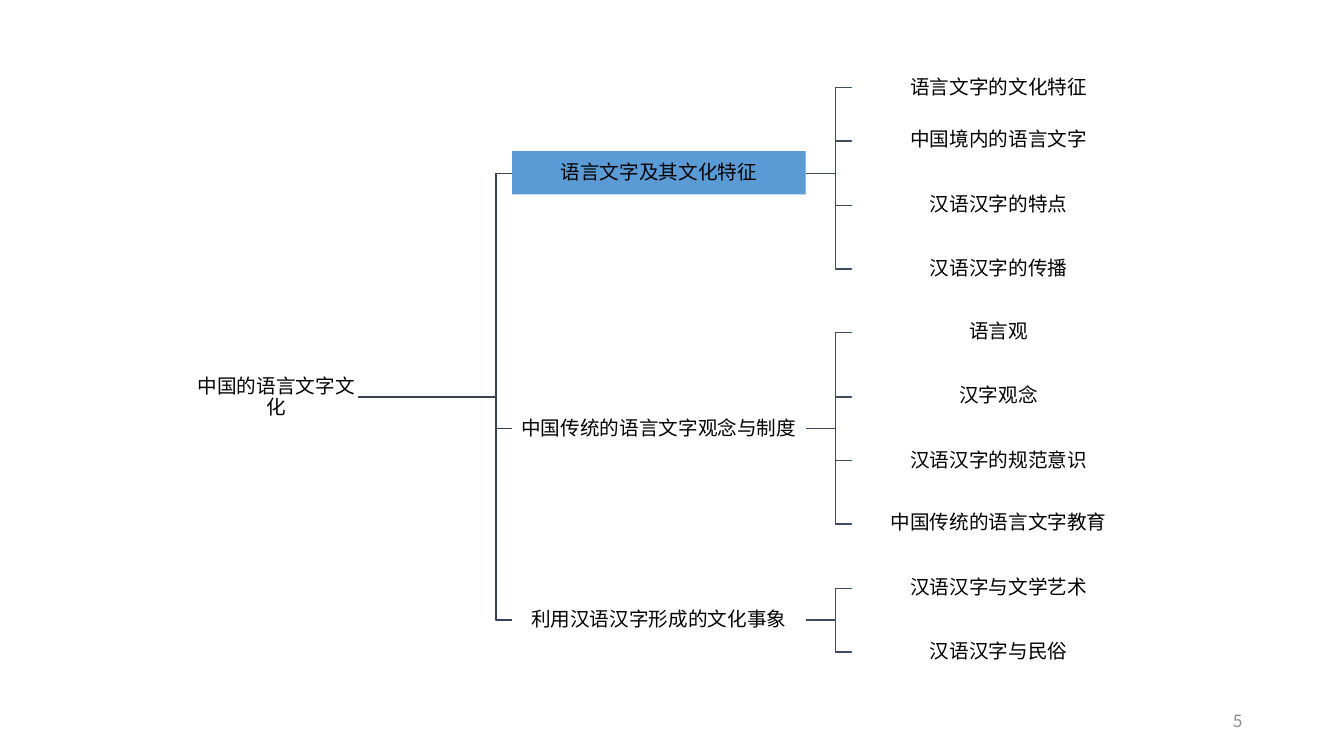
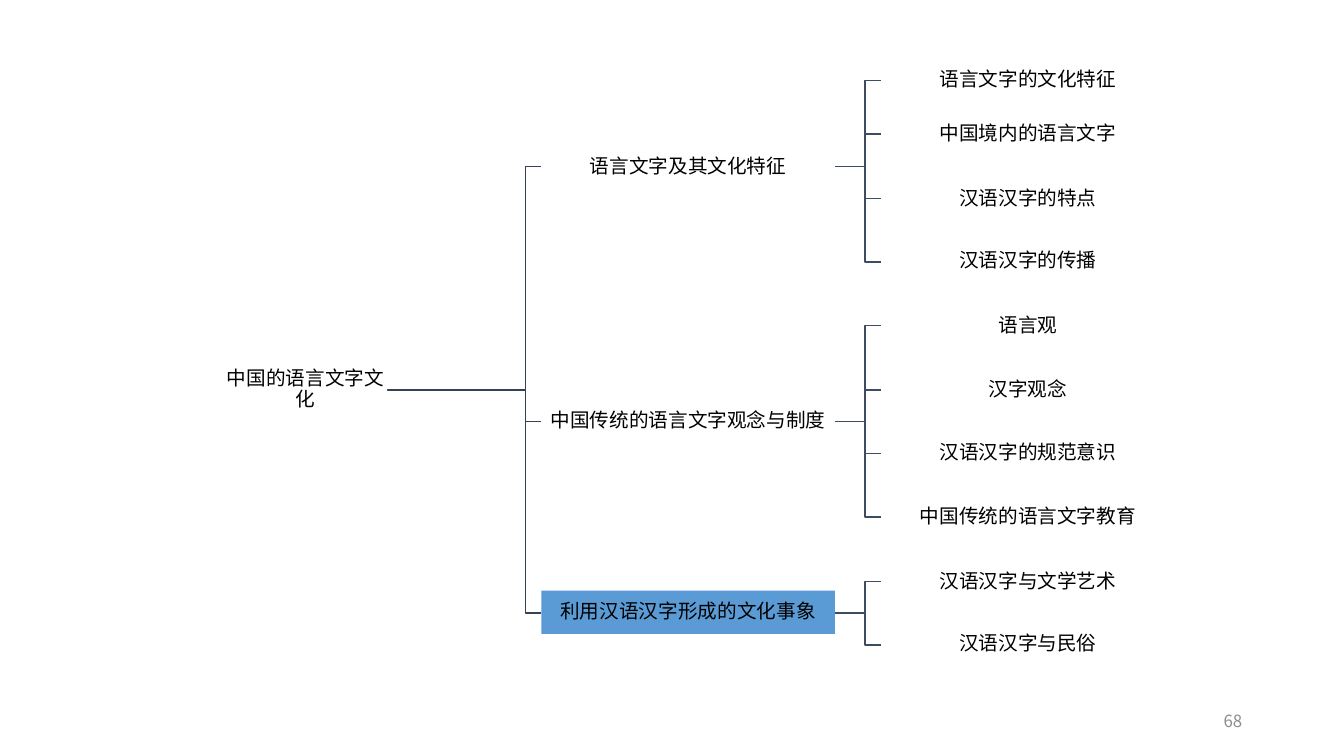
from lxml import etree
from pptx import Presentation
from pptx.dml.color import RGBColor
from pptx.enum.shapes import MSO_SHAPE
from pptx.enum.text import MSO_ANCHOR, PP_ALIGN
from pptx.oxml.ns import qn
from pptx.util import Pt

RECT = MSO_SHAPE.RECTANGLE
MIDDLE = MSO_ANCHOR.MIDDLE
CENTER, RIGHT = PP_ALIGN.CENTER, PP_ALIGN.RIGHT

PX = 9144
FONT = "Noto Sans CJK SC"
BLACK = RGBColor(0x00, 0x00, 0x00)
WHITE = RGBColor(0xFF, 0xFF, 0xFF)
GRAY = RGBColor(0x8C, 0x8C, 0x8C)
BLUE = RGBColor(0x5B, 0x9B, 0xD5)
ROOT_LINE = RGBColor(0x36, 0x43, 0x55)
LEAF_LINE = RGBColor(0x3E, 0x4C, 0x60)

NODE_W, NODE_H = 291, 43
ROOT_X, ROOT_W, ROOT_H = 193, 162, 49
BRANCH_X, LEAF_X = 508, 845
STUB = 16
FIRST_ROW, ROW_SPAN, LAST_ROW = 77, 570, 9
FIRST_LEAF_DROP = 10

ROOT = "中国的语言文字文化"
BRANCHES = [
    ("语言文字及其文化特征",
     ["语言文字的文化特征", "中国境内的语言文字", "汉语汉字的特点", "汉语汉字的传播"]),
    ("中国传统的语言文字观念与制度",
     ["语言观", "汉字观念", "汉语汉字的规范意识", "中国传统的语言文字教育"]),
    ("利用汉语汉字形成的文化事象",
     ["汉语汉字与文学艺术", "汉语汉字与民俗"]),
]


class Deck:
    def __init__(self):
        self.prs = Presentation()
        self.prs.slide_width = 1333 * PX
        self.prs.slide_height = 750 * PX
        self.s = None

    def slide(self, number):
        self.s = self.prs.slides.add_slide(self.prs.slide_layouts[6])
        sp = self.s.shapes.add_textbox(942 * PX, 695 * PX, 300 * PX, 40 * PX)
        self.text(sp.text_frame, number, 12, GRAY, RIGHT)

    def text(self, tf, text, size, color, align):
        tf.word_wrap = True
        tf.vertical_anchor = MIDDLE
        p = tf.paragraphs[0]
        p.alignment = align
        r = p.add_run()
        r.text = text
        r.font.size = Pt(size)
        r.font.name = FONT
        r.font.color.rgb = color
        ea = etree.SubElement(r.font._element, qn("a:ea"))
        ea.set("typeface", FONT)

    def node(self, text, x, mid, w=NODE_W, h=NODE_H, fill=WHITE):
        top = round(mid - h / 2)
        sp = self.s.shapes.add_shape(RECT, x * PX, top * PX, w * PX, h * PX)
        sp.shadow.inherit = False
        sp.fill.solid()
        sp.fill.fore_color.rgb = fill
        sp.line.fill.background()
        tf = sp.text_frame
        tf.margin_left = tf.margin_right = tf.margin_top = tf.margin_bottom = PX
        self.text(tf, text, 14, BLACK, CENTER)
        tf.paragraphs[0].line_spacing = 0.9

    def elbow(self, x1, y1, x2, y2, color):
        turn = x2 - STUB
        fb = self.s.shapes.build_freeform(x1, y1, scale=PX)
        fb.add_line_segments([(turn, y1), (turn, y2), (x2, y2)], close=False)
        sp = fb.convert_to_shape()
        sp.shadow.inherit = False
        sp.fill.background()
        sp.line.color.rgb = color
        sp.line.width = Pt(1)

    def tree(self, active, dx=0, dy=0):
        def row_mid(row):
            return round(FIRST_ROW + dy + row * ROW_SPAN / LAST_ROW)

        root_x, branch_x, leaf_x = ROOT_X + dx, BRANCH_X + dx, LEAF_X + dx
        root_mid = row_mid(LAST_ROW / 2 + 0.5)
        nodes = [(ROOT, root_x, root_mid, ROOT_W, ROOT_H)]
        row = 0
        for i, (branch, leaves) in enumerate(BRANCHES):
            mid = row_mid(row + (len(leaves) - 1) / 2)
            self.elbow(root_x + ROOT_W, root_mid, branch_x, mid, ROOT_LINE)
            fill = BLUE if i == active else WHITE
            nodes.append((branch, branch_x, mid, NODE_W, NODE_H, fill))
            for leaf in leaves:
                leaf_mid = row_mid(row) + (FIRST_LEAF_DROP if row == 0 else 0)
                self.elbow(branch_x + NODE_W, mid, leaf_x, leaf_mid, LEAF_LINE)
                nodes.append((leaf, leaf_x, leaf_mid))
                row += 1
        for node in nodes:
            self.node(*node)


def main():
    deck = Deck()
    deck.slide("5")
    deck.tree(active=0)
    deck.slide("68")
    deck.tree(active=2, dx=29, dy=-7)
    deck.prs.save("out.pptx")


if __name__ == "__main__":
    main()
